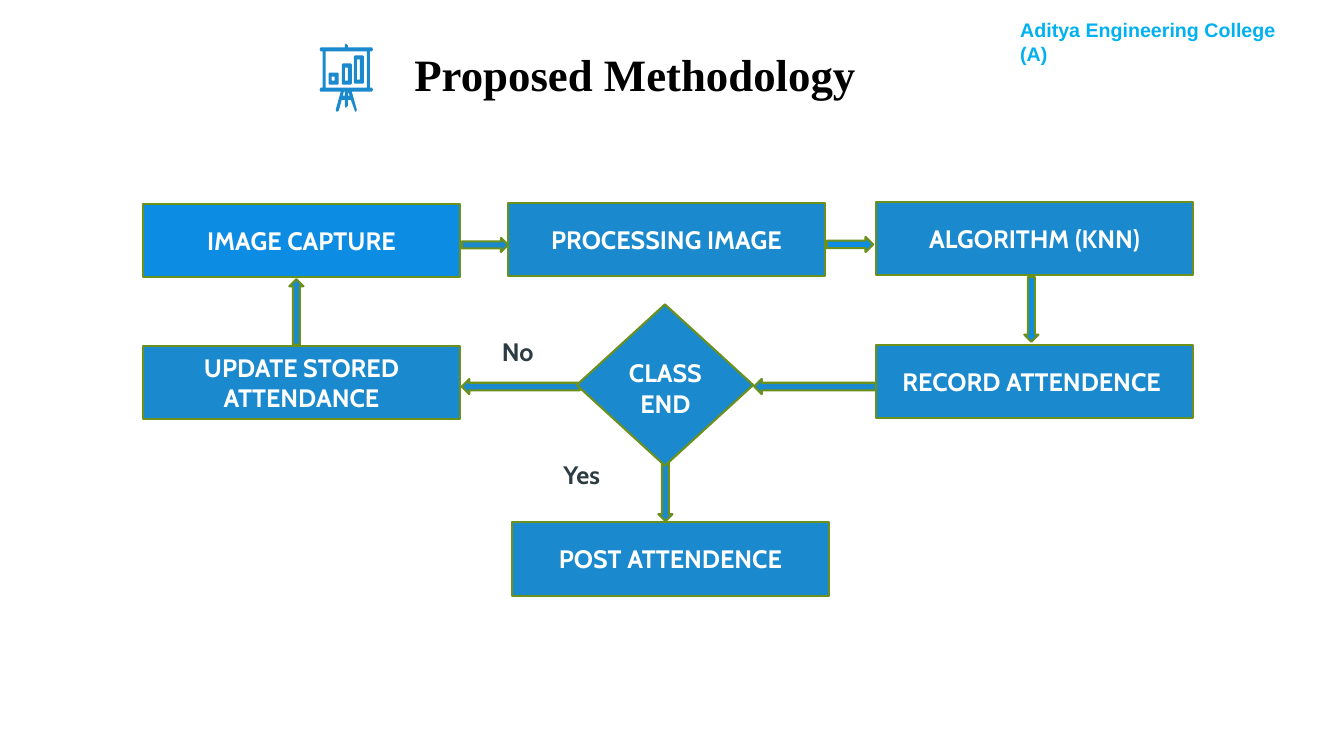
"""Build the Proposed Methodology flowchart slide."""
from dataclasses import dataclass

from pptx import Presentation
from pptx import util as u
from pptx.dml.color import RGBColor
from pptx.enum import shapes, text
from pptx.shapes.autoshape import Shape
from pptx.slide import Slide

PX = 9144
COLORS = {
    "blue": "1A89CE",
    "bright": "0D8CE3",
    "olive": "6B901C",
    "white": "FFFFFF",
    "black": "000000",
    "slate": "2C3C43",
    "sky": "00B0F0",
}
FORMATS = {
    "title": {"name": "Times New Roman", "size": u.Pt(32), "bold": True},
    "flow": {"name": "Cabin", "size": u.Pt(18), "bold": True},
    "college": {"name": "Arial", "size": u.Pt(14), "bold": True},
}
KIND = shapes.MSO_SHAPE
CENTER, LEFT = text.PP_ALIGN.CENTER, text.PP_ALIGN.LEFT
STEP_WIDTH, STEP_HEIGHT = 314, 73
Point = tuple[int, int]
Contour = list[Point]


@dataclass(frozen=True)
class Step:
    left: int
    top: int
    label: str
    fill: str = "blue"


@dataclass(frozen=True)
class Block:
    kind: shapes.MSO_SHAPE
    left: int
    top: int
    width: int
    height: int
    fill: str = "blue"


@dataclass(frozen=True)
class Label:
    left: int
    top: int
    width: int
    height: int
    lines: tuple[str, ...]
    style: str
    color: str
    align: text.PP_ALIGN = LEFT


STEPS = [
    Step(869, 200, "ALGORITHM (KNN)"),
    Step(142, 202, "IMAGE CAPTURE", "bright"),
    Step(504, 201, "PROCESSING IMAGE"),
    Step(869, 342, "RECORD ATTENDENCE "),
    Step(508, 518, "POST ATTENDENCE"),
    Step(142, 343, "UPDATE STORED ATTENDANCE"),
]
BLOCKS = [
    Block(KIND.RIGHT_ARROW, 458, 236, 46, 14),
    Block(KIND.RIGHT_ARROW, 820, 235, 46, 15, "bright"),
    Block(KIND.DOWN_ARROW, 1016, 275, 14, 64, "bright"),
    Block(KIND.LEFT_ARROW, 458, 376, 117, 15),
    Block(KIND.LEFT_ARROW, 748, 376, 121, 15),
    Block(KIND.UP_ARROW, 287, 277, 14, 65),
    Block(KIND.DOWN_ARROW, 653, 459, 14, 58),
    Block(KIND.DIAMOND, 572, 302, 175, 160),
]
TITLE = Label(160, 36, 940, 80, ("Proposed Methodology",), "title", "black", CENTER)
LABELS = [
    Label(549, 451, 88, 54, ("Yes",), "flow", "slate"),
    Label(488, 329, 88, 54, ("No",), "flow", "slate"),
    Label(550, 350, 220, 94, ("CLASS", "END"), "flow", "white", CENTER),
    Label(1002, 13, 283, 34, ("Aditya Engineering College (A)",), "college", "sky"),
]
EASEL = [
    (343, 43), (342, 45), (342, 47), (318, 47), (317, 49), (318, 51),
    (320, 51), (320, 87), (318, 87), (317, 89), (318, 91), (338, 91),
    (333, 109), (334, 111), (336, 110), (339, 99), (342, 99), (342, 105),
    (343, 107), (345, 105), (345, 99), (348, 99), (352, 110), (353, 111),
    (354, 109), (349, 91), (369, 91), (370, 89), (369, 87), (367, 87),
    (367, 51), (369, 51), (370, 49), (369, 47), (345, 47), (345, 45),
]
EASEL_HOLES = [
    [(364, 51), (364, 87), (323, 87), (323, 51)],
    [(342, 91), (342, 95), (340, 95), (341, 91)],
    [(345, 91), (347, 95), (345, 95)],
]
BARS = [(326, 72, 84), (339, 63, 84), (351, 55, 83)]


def bar_contours(left: int, top: int, bottom: int) -> list[Contour]:
    """Return the bevelled frame of one bar and its hollow."""
    right = left + 10
    frame = [
        (left + 1, top), (right - 1, top), (right, top + 1), (right, bottom - 1),
        (right - 1, bottom), (left + 1, bottom), (left, bottom - 1), (left, top + 1),
    ]
    hollow = [
        (right - 4, top + 4), (right - 4, bottom - 4),
        (left + 3, bottom - 4), (left + 3, top + 4),
    ]
    return [hollow, frame]


def paint(shape: Shape, fill: str, line: str | None = None) -> None:
    """Give a shape a flat fill and an optional outline."""
    shape.shadow.inherit = False
    shape.fill.solid()
    shape.fill.fore_color.rgb = RGBColor.from_string(COLORS[fill])
    if line is None:
        shape.line.fill.background()
    else:
        shape.line.color.rgb = RGBColor.from_string(COLORS[line])
        shape.line.width = u.Pt(1.5)


def write(shape: Shape, lines: tuple[str, ...], style: str, color: str,
          align: text.PP_ALIGN) -> None:
    """Write formatted paragraphs into a shape."""
    frame = shape.text_frame
    frame.word_wrap = True
    frame.text = "\n".join(lines)
    for paragraph in frame.paragraphs:
        paragraph.alignment = align
        for run in paragraph.runs:
            for name, value in FORMATS[style].items():
                setattr(run.font, name, value)
            run.font.color.rgb = RGBColor.from_string(COLORS[color])


def add_block(slide: Slide, block: Block) -> Shape:
    """Add an outlined preset shape."""
    lengths = (block.left, block.top, block.width, block.height)
    shape = slide.shapes.add_shape(block.kind, *(PX * length for length in lengths))
    paint(shape, block.fill, "olive")
    return shape


def add_step(slide: Slide, step: Step) -> None:
    """Add one labelled process box."""
    block = Block(KIND.RECTANGLE, step.left, step.top, STEP_WIDTH, STEP_HEIGHT, step.fill)
    shape = add_block(slide, block)
    shape.text_frame.vertical_anchor = text.MSO_ANCHOR.MIDDLE
    write(shape, (step.label,), "flow", "white", CENTER)


def add_label(slide: Slide, label: Label) -> Shape:
    """Add a free-standing text box."""
    lengths = (label.left, label.top, label.width, label.height)
    shape = slide.shapes.add_textbox(*(PX * length for length in lengths))
    write(shape, label.lines, label.style, label.color, label.align)
    return shape


def add_outline(slide: Slide, contours: list[Contour]) -> Shape:
    """Add one filled freeform made of closed contours."""
    first, *others = contours
    builder = slide.shapes.build_freeform(*first[0], scale=PX)
    builder.add_line_segments(first[1:], close=True)
    for contour in others:
        builder.move_to(*contour[0])
        builder.add_line_segments(contour[1:], close=True)
    shape = builder.convert_to_shape()
    paint(shape, "blue")
    return shape


def main() -> None:
    """Compose and save the slide."""
    presentation = Presentation()
    presentation.slide_width, presentation.slide_height = 1333 * PX, 750 * PX
    slide = presentation.slides.add_slide(presentation.slide_layouts[6])
    title = add_label(slide, TITLE)
    title.text_frame.vertical_anchor = text.MSO_ANCHOR.MIDDLE
    title.text_frame.paragraphs[0].line_spacing = 0.9
    icon = [[*EASEL_HOLES, EASEL], *(bar_contours(*bar) for bar in BARS)]
    slide.shapes.add_group_shape([add_outline(slide, contours) for contours in icon])
    for step in STEPS:
        add_step(slide, step)
    for block in BLOCKS:
        add_block(slide, block)
    for label in LABELS:
        add_label(slide, label)
    presentation.save("out.pptx")


if __name__ == "__main__":
    main()
